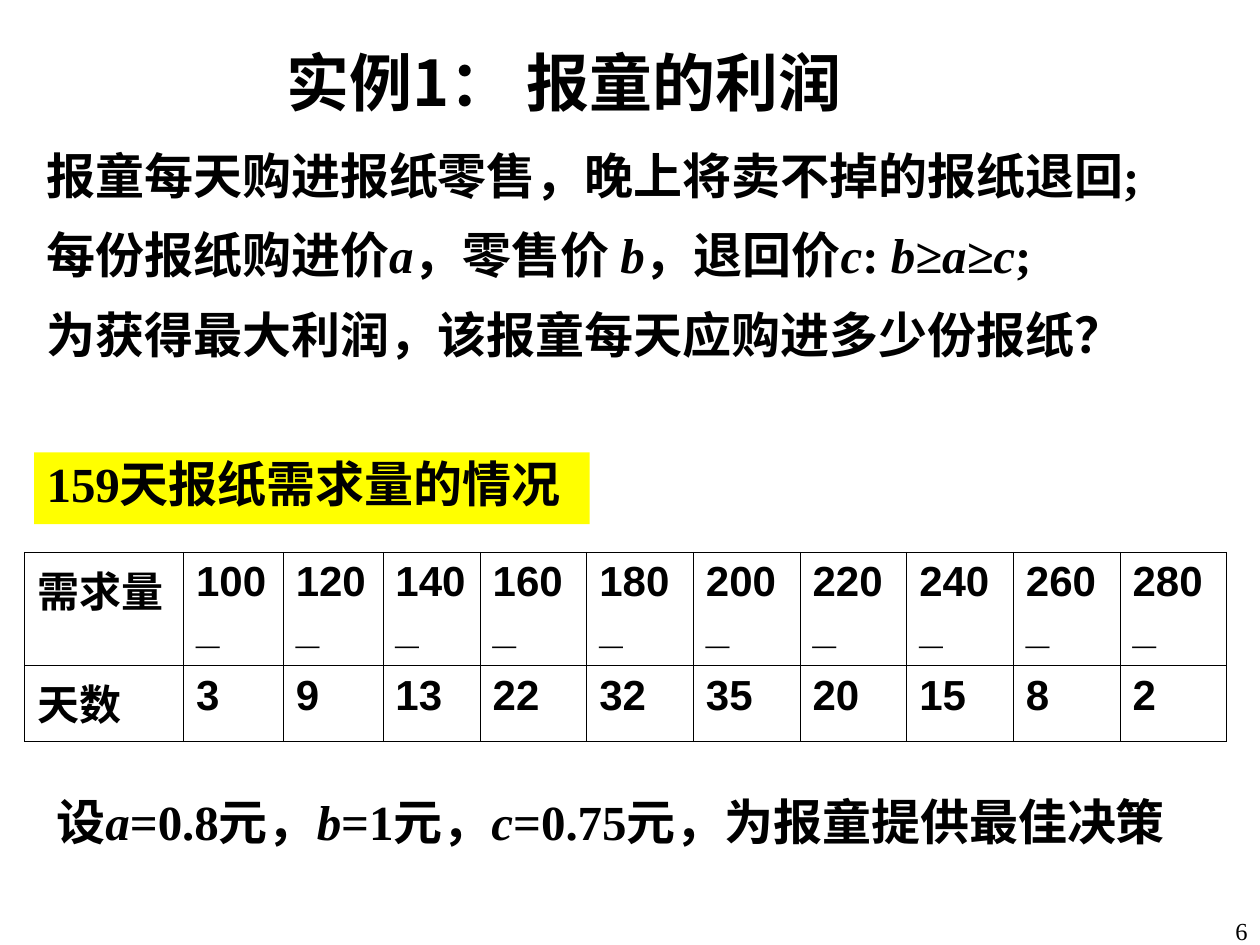
import pptx
import pptx.util
import pptx.dml.color
import pptx.enum.shapes
import pptx.enum.text
import pptx.oxml
import pptx.oxml.ns
from lxml import etree

Cm, Pt = pptx.util.Cm, pptx.util.Pt
RGB = pptx.dml.color.RGBColor
Align = pptx.enum.text.PP_ALIGN
BLACK = RGB(0, 0, 0)
YELLOW = RGB(255, 255, 0)

SERIF, SANS, HAN = "Times New Roman", "Arial", "Noto Sans CJK SC"
BODY = {"name": SERIF, "size": Pt(28), "bold": True}
TITLE = {"name": HAN, "size": Pt(36), "bold": True}
GRID = {"name": SANS, "size": Pt(24), "bold": True}
PAGE = {"name": SERIF, "size": Pt(14), "bold": False}


class Deck:
    def __init__(self, wide, high):
        self.file = pptx.Presentation()
        self.file.slide_width, self.file.slide_height = Cm(wide), Cm(high)
        self.slide = self.file.slides.add_slide(self.file.slide_layouts[6])

    def fill_in(self, frame, lines, font, form):
        """Put lines in a frame; *stars* in a line mark italic parts."""
        frame.word_wrap = True
        for row, line in enumerate(lines):
            para = frame.paragraphs[0] if row == 0 else frame.add_paragraph()
            for key, value in form.items():
                if row or key != "space_before":
                    setattr(para, key, value)
            for odd, part in enumerate(line.split("*")):
                if not part:
                    continue
                run = para.add_run()
                run.text = part
                for key, value in font.items():
                    setattr(run.font, key, value)
                run.font.italic = odd % 2 == 1
                run.font.color.rgb = BLACK
                east = etree.SubElement(run.font._element, pptx.oxml.ns.qn("a:ea"))
                east.set("typeface", HAN)

    def text(self, area, lines, font=BODY, align=Align.LEFT, tight=True, fill=None):
        area = [Cm(n) for n in area]
        if fill is None:
            box = self.slide.shapes.add_textbox(*area)
        else:
            kind = pptx.enum.shapes.MSO_SHAPE.RECTANGLE
            box = self.slide.shapes.add_shape(kind, *area)
            box.shadow.inherit = False
            box.fill.solid()
            box.fill.fore_color.rgb = fill
            box.line.fill.background()
        form = {"alignment": align}
        frame = box.text_frame
        frame.vertical_anchor = pptx.enum.text.MSO_ANCHOR.TOP
        if tight:
            form.update(line_spacing=0.83, space_before=Pt(17.5))
            frame.margin_top, frame.margin_bottom = Cm(0.23), Cm(0.03)
        self.fill_in(frame, lines, font, form)

    def edge(self, cell):
        props = cell._tc.get_or_add_tcPr()
        for at, side in enumerate(("lnL", "lnR", "lnT", "lnB")):
            props.insert(at, pptx.oxml.parse_xml(
                f'<a:{side} {pptx.oxml.ns.nsdecls("a")} w="{Pt(0.45)}"><a:solidFill>'
                f'<a:srgbClr val="{BLACK}"/></a:solidFill></a:{side}>'))

    def table(self, left, top, cols, rows, data):
        area = [Cm(n) for n in (left, top, sum(cols), sum(rows))]
        grid = self.slide.shapes.add_table(len(rows), len(cols), *area).table
        grid.first_row = grid.horz_banding = False
        for col, wide in zip(grid.columns, cols):
            col.width = Cm(wide)
        for row, high, line in zip(grid.rows, rows, data):
            row.height = Cm(high)
            for cell, words in zip(row.cells, line):
                cell.fill.background()
                self.edge(cell)
                self.fill_in(cell.text_frame, words.split("\n"), GRID, {})


def main():
    deck = Deck(25.4, 19.05)
    deck.text((19.71, 18.34, 5.69, 0.71), ["6"], PAGE, Align.RIGHT, tight=False)
    deck.text((3.71, 0.91, 15.6, 1.78), ["实例1： 报童的利润 "], TITLE, Align.CENTER)
    deck.text((0.69, 2.9, 24, 5.05), [
        "报童每天购进报纸零售，晚上将卖不掉的报纸退回;",
        "每份报纸购进价*a*，零售价 *b*，退回价*c*: *b≥a≥c*;",
        "为获得最大利润，该报童每天应购进多少份报纸？",
    ])
    deck.text((0.89, 15.93, 23.5, 2.64),
              ["设*a*=0.8元，*b*=1元，*c*=0.75元，为报童提供最佳决策"])
    need = ["需求量", "100_"] + [f"{n}\n_" for n in range(120, 281, 20)]
    days = ["天数"] + [str(n) for n in (3, 9, 13, 22, 32, 35, 20, 15, 8, 2)]
    cols = [3.2, 2.01, 2.01, 1.96] + [2.15] * 7
    deck.table(0.5, 11.13, cols, [2.29, 1.52], [need, days])
    deck.text((0.69, 9.12, 11.2, 1.45), ["159天报纸需求量的情况"], fill=YELLOW)
    deck.file.save("out.pptx")


if __name__ == "__main__":
    main()
